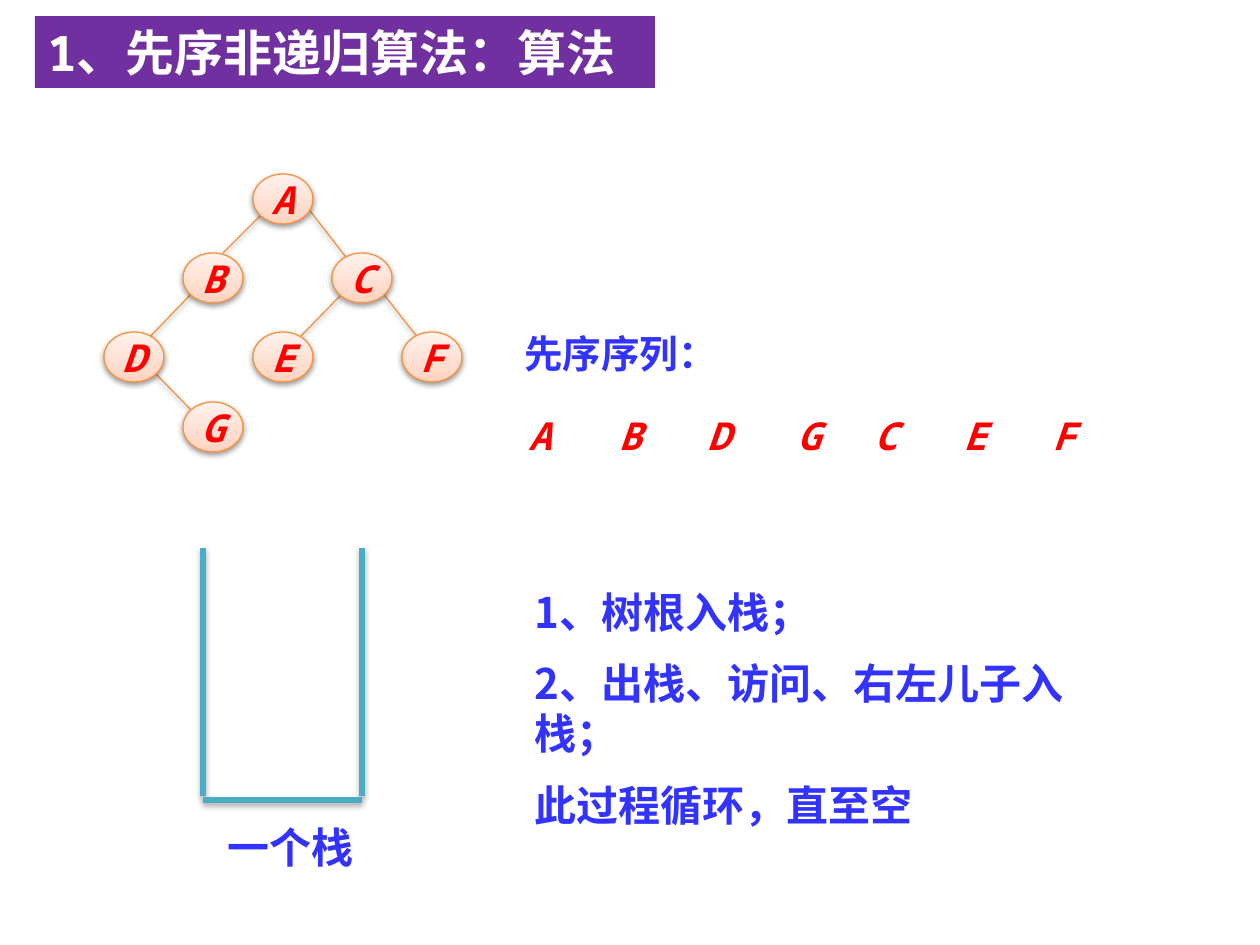
"""Build a slide on the non-recursive preorder walk of a binary tree."""
import lxml.etree
import pptx
import pptx.dml.color
import pptx.enum.shapes
import pptx.enum.text
import pptx.oxml
import pptx.oxml.ns
import pptx.util

RGB = pptx.dml.color.RGBColor
SHAPE = pptx.enum.shapes.MSO_SHAPE
ALIGN = pptx.enum.text.PP_ALIGN
PURPLE = RGB(0x70, 0x30, 0xA0)
BLUE = RGB(0x33, 0x33, 0xFF)
RED = RGB(0xFF, 0x00, 0x00)
WHITE = RGB(0xFF, 0xFF, 0xFF)
ORANGE = RGB(0xF6, 0x92, 0x40)
TEAL = RGB(0x4B, 0xAC, 0xC6)
STOPS = (
    (0, RGB(0xFF, 0xD2, 0xBD)),
    (35, RGB(0xFF, 0xDE, 0xD0)),
    (100, RGB(0xFF, 0xF2, 0xED)),
)
CJK = "Noto Sans CJK SC"
MONO = "Noto Sans Mono"
SCALE = 914400 // 126
NODE = (60, 50)

NODES = {
    "A": (283, 199), "B": (213, 278), "C": (362, 278), "D": (134, 357),
    "E": (283, 357), "F": (432, 357), "G": (213, 427),
}
EDGES = (
    (154, 372, 193, 412), (263, 213, 223, 253), (307, 207, 349, 261),
    (193, 292, 144, 343), (340, 296, 301, 336), (382, 292, 422, 343),
)
STACK = ((203, 548, 203, 796), (362, 548, 362, 796), (203, 800, 362, 800))
ORDER = (
    ("A", 510), ("B", 600), ("D", 689), ("G", 779),
    ("C", 856), ("E", 945), ("F", 1034),
)
STEPS = ("1、树根入栈；", "2、出栈、访问、右左儿子入栈；", "此过程循环，直至空")


def px(*nums):
    return [pptx.util.Emu(num * SCALE) for num in nums]


def add_xml(shape, body):
    space = pptx.oxml.ns.nsdecls("a")
    shape._element.spPr.append(pptx.oxml.parse_xml(body.replace(">", f" {space}>", 1)))


def cast(shape, dist, alpha):
    add_xml(
        shape,
        f'<a:effectLst><a:outerShdw blurRad="40000" dist="{dist}" dir="5400000" '
        f'rotWithShape="0"><a:srgbClr val="000000"><a:alpha val="{alpha}000"/>'
        "</a:srgbClr></a:outerShdw></a:effectLst>",
    )


def style(para, size, color, face, italic=False):
    font = para.font
    font.size = pptx.util.Pt(size)
    font.bold = True
    font.italic = italic
    font.color.rgb = color
    font.name = face


def write(frame, lines, size, color, face):
    frame.word_wrap = True
    for num, line in enumerate(lines):
        para = frame.add_paragraph() if num else frame.paragraphs[0]
        para.text = line
        para.alignment = ALIGN.LEFT
        para.line_spacing = pptx.util.Pt(round(size * 1.2, 1))
        if num:
            para.space_before = pptx.util.Pt(size / 2)
        style(para, size, color, face)
        props = para._p.pPr.find(pptx.oxml.ns.qn("a:defRPr"))
        lxml.etree.SubElement(props, pptx.oxml.ns.qn("a:ea"), typeface=CJK)


def mark(frame, text):
    para = frame.paragraphs[0]
    para.text = text
    para.alignment = ALIGN.CENTER
    style(para, 22, RED, MONO, True)


def add_line(slide, ends, color, width, dist, alpha):
    kind = pptx.enum.shapes.MSO_CONNECTOR.STRAIGHT
    line = slide.shapes.add_connector(kind, *px(*ends))
    line.line.color.rgb = color
    line.line.width = pptx.util.Pt(width)
    cast(line, dist, alpha)


def add_node(slide, text, mid):
    wide, high = NODE
    box = px(mid[0] - wide // 2, mid[1] - high // 2, wide, high)
    node = slide.shapes.add_shape(SHAPE.OVAL, *box)
    stops = "".join(
        f'<a:gs pos="{pos}000"><a:srgbClr val="{color}"/></a:gs>' for pos, color in STOPS
    )
    add_xml(
        node,
        f'<a:gradFill><a:gsLst>{stops}</a:gsLst><a:lin ang="16200000" scaled="1"/>'
        "</a:gradFill>",
    )
    node.line.color.rgb = ORANGE
    node.line.width = pptx.util.Pt(0.75)
    cast(node, 20000, 38)
    frame = node.text_frame
    frame.word_wrap = False
    frame.vertical_anchor = pptx.enum.text.MSO_ANCHOR.MIDDLE
    mark(frame, text)


def add_text(slide, box, lines, size, face):
    write(slide.shapes.add_textbox(*px(*box)).text_frame, lines, size, BLUE, face)


def add_mark(slide, text, left):
    frame = slide.shapes.add_textbox(*px(left, 412, 60, 47)).text_frame
    frame.margin_left = frame.margin_right = 0
    frame.margin_top = frame.margin_bottom = 0
    frame.word_wrap = True
    mark(frame, text)


def add_title(slide, text):
    bar = slide.shapes.add_shape(SHAPE.RECTANGLE, *px(35, 16, 620, 72))
    bar.shadow.inherit = False
    bar.fill.solid()
    bar.fill.fore_color.rgb = PURPLE
    bar.line.fill.background()
    frame = bar.text_frame
    frame.vertical_anchor = pptx.enum.text.MSO_ANCHOR.TOP
    write(frame, [text], 28, WHITE, MONO)


def main():
    deck = pptx.Presentation()
    deck.slide_width, deck.slide_height = px(1260, 945)
    slide = deck.slides.add_slide(deck.slide_layouts[6])
    for ends in EDGES:
        add_line(slide, ends, ORANGE, 0.75, 20000, 38)
    for text, mid in NODES.items():
        add_node(slide, text, mid)
    for ends in STACK:
        add_line(slide, ends, TEAL, 3, 23000, 35)
    add_text(slide, (215, 815, 159, 63), ["一个栈"], 24, CJK)
    add_text(slide, (512, 324, 238, 59), ["先序序列："], 22, MONO)
    for text, left in ORDER:
        add_mark(slide, text, left)
    add_text(slide, (522, 580, 572, 267), STEPS, 24, CJK)
    add_title(slide, "1、先序非递归算法：算法")
    deck.save("out.pptx")


if __name__ == "__main__":
    main()
